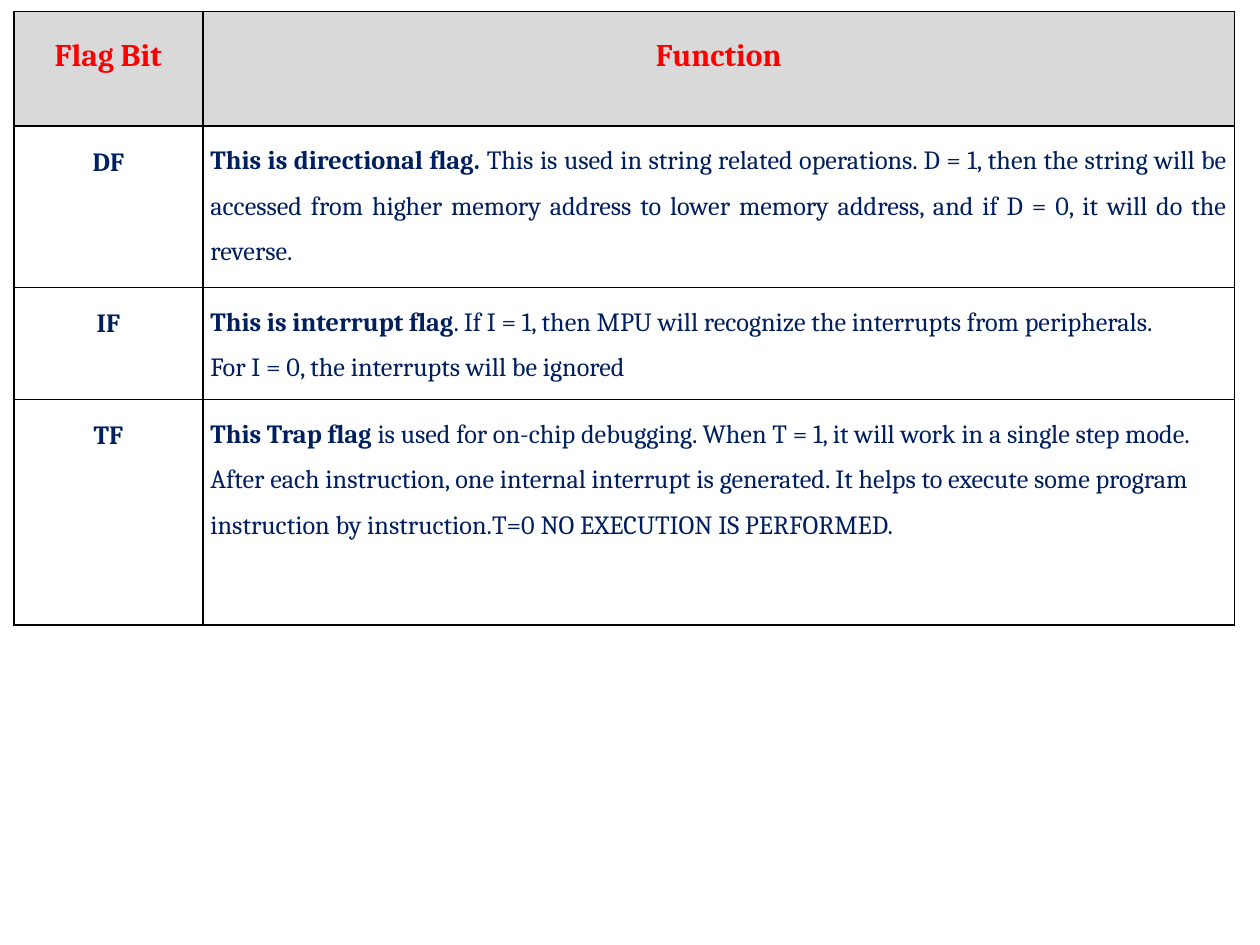
from lxml.etree import SubElement
from pptx import Presentation
from pptx.dml.color import RGBColor
from pptx.enum.text import PP_ALIGN as Align
from pptx.oxml.ns import qn
from pptx.util import Inches, Pt

# Content: flag, bold lead, explanation
HEADERS = ("Flag Bit", "Function")
FLAGS = [
    ("DF", "This is directional flag. ",
     "This is used in string related operations. D = 1, then the string will be "
     "accessed from higher memory address to lower memory address, and if D = 0, "
     "it will do the reverse."),
    ("IF", "This is interrupt flag",
     ". If I = 1, then MPU will recognize the interrupts from peripherals. "
     "For I = 0, the interrupts will be ignored"),
    ("TF", "This Trap flag ",
     "is used for on-chip debugging. When T = 1, it will work in a single step "
     "mode. After each instruction, one internal interrupt is generated. It helps "
     "to execute some program instruction by instruction.T=0 NO EXECUTION IS "
     "PERFORMED."),
]
# Alignment and right indent of each explanation
FLOW = [(Align.JUSTIFY, 0.06), (Align.LEFT, 0.5), (Align.LEFT, 0.2)]

THEME = {
    "font": "Cambria", "header_size": 18, "body_size": 15,
    "header_text": "FF0000", "header_fill": "D9D9D9",
    "body_text": "001F5F", "body_fill": "FFFFFF", "border": "000000",
}
LEFT, TOP = 0.11, 0.09
COL_WIDTHS = (1.5, 8.19)
ROW_HEIGHTS = (0.91, 1.28, 0.89, 1.79)


def style_cell(cell, kind, top):
    """Set insets, borders and fill."""
    cell.margin_left = cell.margin_right = cell.margin_bottom = 0
    cell.margin_top = Inches(top)
    tc_pr = cell._tc.get_or_add_tcPr()
    for side in ("lnL", "lnR", "lnT", "lnB"):
        ln = SubElement(tc_pr, qn("a:" + side), w=str(Pt(1)))
        fill = SubElement(ln, qn("a:solidFill"))
        SubElement(fill, qn("a:srgbClr"), val=THEME["border"])
    cell.fill.solid()
    cell.fill.fore_color.rgb = RGBColor.from_string(THEME[kind + "_fill"])


def write(cell, kind, top, runs, align=Align.CENTER):
    """Fill a cell with (text, bold) runs and return its paragraph."""
    style_cell(cell, kind, top)
    p = cell.text_frame.paragraphs[0]
    p.alignment = align
    p.font.name = THEME["font"]
    for text, bold in runs:
        r = p.add_run()
        r.text = text
        r.font.name = THEME["font"]
        r.font.size = Pt(THEME[kind + "_size"])
        r.font.bold = bold
        r.font.color.rgb = RGBColor.from_string(THEME[kind + "_text"])
    return p


prs = Presentation()
prs.slide_width, prs.slide_height = Inches(10), Inches(7.5)
slide = prs.slides.add_slide(prs.slide_layouts[6])

# Table grid
table = slide.shapes.add_table(
    len(ROW_HEIGHTS), len(COL_WIDTHS), Inches(LEFT), Inches(TOP),
    Inches(sum(COL_WIDTHS)), Inches(sum(ROW_HEIGHTS))).table
table.first_row = table.horz_banding = False
for column, width in zip(table.columns, COL_WIDTHS):
    column.width = Inches(width)
for row, height in zip(table.rows, ROW_HEIGHTS):
    row.height = Inches(height)

# Header row
for col, text in enumerate(HEADERS):
    write(table.cell(0, col), "header", 0.21, [(text, True)])

# Flag rows
for row, ((flag, lead, detail), (align, right)) in enumerate(zip(FLAGS, FLOW), 1):
    write(table.cell(row, 0), "body", 0.17, [(flag, True)])
    p = write(table.cell(row, 1), "body", 0.04,
              [(lead, True), (detail, False)], align)
    p.line_spacing = 1.5
    p_pr = p._p.get_or_add_pPr()
    p_pr.set("marL", str(Inches(0.06)))
    p_pr.set("marR", str(Inches(right)))
    p_pr.set("indent", "0")

prs.save("out.pptx")
